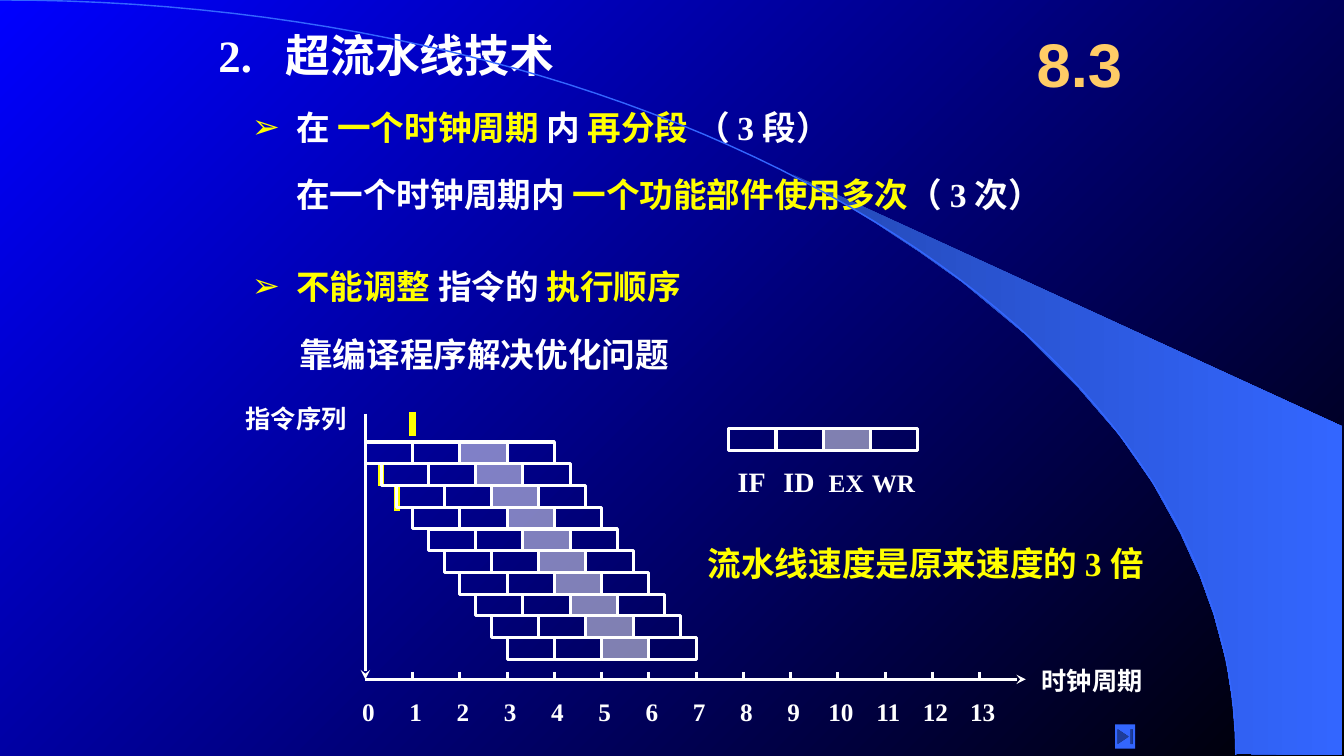
import pptx
import pptx.dml.color
import pptx.enum.shapes
import pptx.enum.text
import pptx.oxml
import pptx.oxml.ns
import pptx.util

PX = 9525
WHITE, YELLOW, BLUE, GOLD = "FFFFFF", "FFFF00", "3366FF", "FFCC66"
CELL = 45
SHAPES = pptx.enum.shapes.MSO_SHAPE
ALIGN = pptx.enum.text.PP_ALIGN
ANCHOR = pptx.enum.text.MSO_ANCHOR
QN = pptx.oxml.ns.qn


def px(*lengths):
    return [round(length * PX) for length in lengths]


def colour(value):
    return pptx.dml.color.RGBColor.from_string(value)


def add_xml(parent, tag, **attributes):
    element = parent.makeelement(QN(tag), attributes)
    parent.append(element)
    return element


def gradient(fill, start, end, angle):
    fill.gradient()
    fill.gradient_angle = angle
    for stop, value in zip(fill.gradient_stops, (start, end)):
        stop.color.rgb = colour(value)


def set_line(line, value, points):
    line.color.rgb = colour(value)
    line.width = pptx.util.Pt(points)


def place(shape, box):
    shape.left, shape.top, shape.width, shape.height = px(*box)


def setup_frame(frame, insets, anchor):
    frame.word_wrap = True
    frame.auto_size = pptx.enum.text.MSO_AUTO_SIZE.NONE
    frame.vertical_anchor = anchor
    frame.margin_left = frame.margin_right = px(insets)[0]
    frame.margin_top = frame.margin_bottom = px(5)[0]


def add_tabs(para, stops, align):
    tabs = add_xml(para._p.get_or_add_pPr(), "a:tabLst")
    for stop in stops:
        add_xml(tabs, "a:tab", pos=str(px(stop)[0]), algn=align)


def write(para, spans, size, font="Times New Roman"):
    para.font.name = font
    para.font.size = pptx.util.Pt(size)
    para.font.bold = True
    for text, value in spans:
        span = para.add_run()
        span.text = text
        span.font.color.rgb = colour(value)


def add_label(page, box, text, size, value=WHITE, font="Times New Roman",
              align=ALIGN.LEFT, anchor=ANCHOR.TOP, insets=10, stops=()):
    label = page.shapes.add_textbox(*px(*box))
    setup_frame(label.text_frame, insets, anchor)
    para = label.text_frame.paragraphs[0]
    para.alignment = align
    if stops:
        add_tabs(para, stops, "ctr")
    write(para, [(text, value)], size, font)
    return para


def add_line(page, start, end, value=WHITE, points=2.25, arrow=False):
    line = page.shapes.add_connector(
        pptx.enum.shapes.MSO_CONNECTOR.STRAIGHT, *px(*start, *end))
    set_line(line.line, value, points)
    properties = line._element.spPr
    if arrow:
        add_xml(properties.find(QN("a:ln")), "a:tailEnd", type="stealth")
    add_xml(properties, "a:effectLst")


def add_outline(page, points, close):
    points = [px(*point) for point in points]
    builder = page.shapes.build_freeform(*points[0])
    builder.add_line_segments(points[1:], close=close)
    shape = builder.convert_to_shape()
    shape.shadow.inherit = False
    return shape


def draw_backdrop(page):
    gradient(page.background.fill, "0000FF", "000000", 315)
    wedge = add_outline(page, [
        (1178, 718), (1278, 719), (1278, 406), (755, 166), (799, 191),
        (835, 213), (876, 240), (917, 269), (975, 317), (1027, 369),
        (1066, 414), (1098, 460), (1124, 507), (1143, 549), (1156, 585),
        (1168, 630), (1174, 668)], True)
    gradient(wedge.fill, "2449B6", BLUE, 0)
    wedge.line.fill.background()
    steps = [index / 60 for index in range(61)]
    arc = add_outline(page, [
        (3 * t * (1 - t) ** 2 * 650 + 3 * t ** 2 * (1 - t) * 1177 + t ** 3 * 1177,
         3 * t ** 2 * (1 - t) * 322 + t ** 3 * 719) for t in steps], False)
    arc.fill.background()
    set_line(arc.line, BLUE, 1)


def draw_title(page, box):
    title = page.shapes.title
    place(title, box)
    setup_frame(title.text_frame, 0, ANCHOR.MIDDLE)
    para = title.text_frame.paragraphs[0]
    para.alignment = ALIGN.LEFT
    add_tabs(para, [64], "l")
    write(para, [("2.\t超流水线技术", WHITE)], 32)


def draw_points(page, box):
    body = page.placeholders[1]
    place(body, box)
    frame = body.text_frame
    setup_frame(frame, 0, ANCHOR.MIDDLE)
    lines = [
        (True, 42, 0, [("在 ", WHITE), ("一个时钟周期 ", YELLOW), ("内 ", WHITE),
                       ("再分段", YELLOW), (" （ 3 段）", WHITE)]),
        (False, 42, 12, [("在一个时钟周期内 ", WHITE),
                         ("一个功能部件使用多次", YELLOW), ("（ 3 次）", WHITE)]),
        (True, 42, 30, [("不能调整 ", YELLOW), ("指令的 ", WHITE),
                        ("执行顺序", YELLOW)]),
        (False, 45, 12, [("靠编译程序解决优化问题", WHITE)]),
    ]
    for index, (bullet, margin, before, spans) in enumerate(lines):
        para = frame.add_paragraph() if index else frame.paragraphs[0]
        properties = para._p.get_or_add_pPr()
        properties.set("marL", str(px(margin)[0]))
        properties.set("indent", str(px(-margin)[0] if bullet else 0))
        if bullet:
            add_xml(add_xml(properties, "a:buClr"), "a:srgbClr", val=YELLOW)
            add_xml(properties, "a:buChar", char="➢")
        else:
            add_xml(properties, "a:buNone")
        para.alignment = ALIGN.LEFT
        para.line_spacing = pptx.util.Pt(36)
        para.space_before = pptx.util.Pt(before)
        write(para, spans, 24)


def draw_stages(page, left, top, height):
    for stage in range(4):
        cell = page.shapes.add_shape(
            SHAPES.RECTANGLE, *px(left + stage * CELL, top, CELL, height))
        cell.shadow.inherit = False
        set_line(cell.line, WHITE, 2.25)
        if stage == 2:
            cell.fill.solid()
            cell.fill.fore_color.rgb = colour(WHITE)
            fill = cell._element.spPr.find(QN("a:solidFill"))
            add_xml(fill[0], "a:alpha", val="50000")
        else:
            cell.fill.background()


def draw_pipeline(page, box):
    left, top, width, height = box
    bottom = top + height
    for x, y in ((45, -2), (15, 46), (30, 70)):
        add_line(page, (left + x, top + y), (left + x, top + y + 23), YELLOW, 4.5)
    row_height = 20.7
    for row in range(10):
        draw_stages(page, left + row * CELL // 3, top + 27 + row * row_height,
                    row_height)
    add_line(page, (left, top), (left, bottom), arrow=True)
    add_line(page, (left, bottom), (left + width, bottom), arrow=True)
    for tick in range(1, 14):
        x = left + tick * CELL
        add_line(page, (x, bottom - 7), (x, bottom))
    add_label(page, (left - 9, bottom + 11, width, 38),
              "".join(f"\t{number}" for number in range(14)), 18, insets=0,
              stops=[12 + number * CELL for number in range(14)])
    add_label(page, (left + width + 5, bottom - 18, 137, 38), "时钟周期", 18)
    add_label(page, (left - 124, top - 15, 137, 38), "指令序列", 18)


def draw_legend(page, left, top):
    draw_stages(page, left, top, 21)
    para = add_label(page, (left, top + 29, 196, 41), "\tIF\tID", 20, insets=0,
                     stops=[22 + stage * CELL for stage in range(4)])
    span = para.add_run()
    span.text = "\tEX\tWR"
    span.font.size = pptx.util.Pt(18)
    span.font.color.rgb = colour(WHITE)


def draw_button(page, box):
    button = page.shapes.add_shape(SHAPES.ACTION_BUTTON_END, *px(*box))
    button.shadow.inherit = False
    button.fill.solid()
    button.fill.fore_color.rgb = colour(BLUE)
    button.line.fill.background()


def main():
    deck = pptx.Presentation()
    deck.slide_width, deck.slide_height = px(1280, 720)
    page = deck.slides.add_slide(deck.slide_layouts[1])
    draw_backdrop(page)
    draw_title(page, (208, 24, 462, 56))
    draw_points(page, (240, 88, 864, 272))
    add_label(page, (664, 512, 488, 48), "流水线速度是原来速度的 3 倍", 24, YELLOW)
    add_label(page, (968, 16, 120, 88), "8.3", 44, GOLD, "Arial",
              ALIGN.CENTER, ANCHOR.MIDDLE)
    draw_pipeline(page, (348, 394, 629, 253))
    draw_legend(page, 694, 408)
    draw_button(page, (1062, 690, 19, 23))
    for holder in (page.placeholders[1], page.shapes.title):
        page.shapes._spTree.remove(holder._element)
        page.shapes._spTree.insert(4, holder._element)
    deck.save("out.pptx")


if __name__ == "__main__":
    main()
